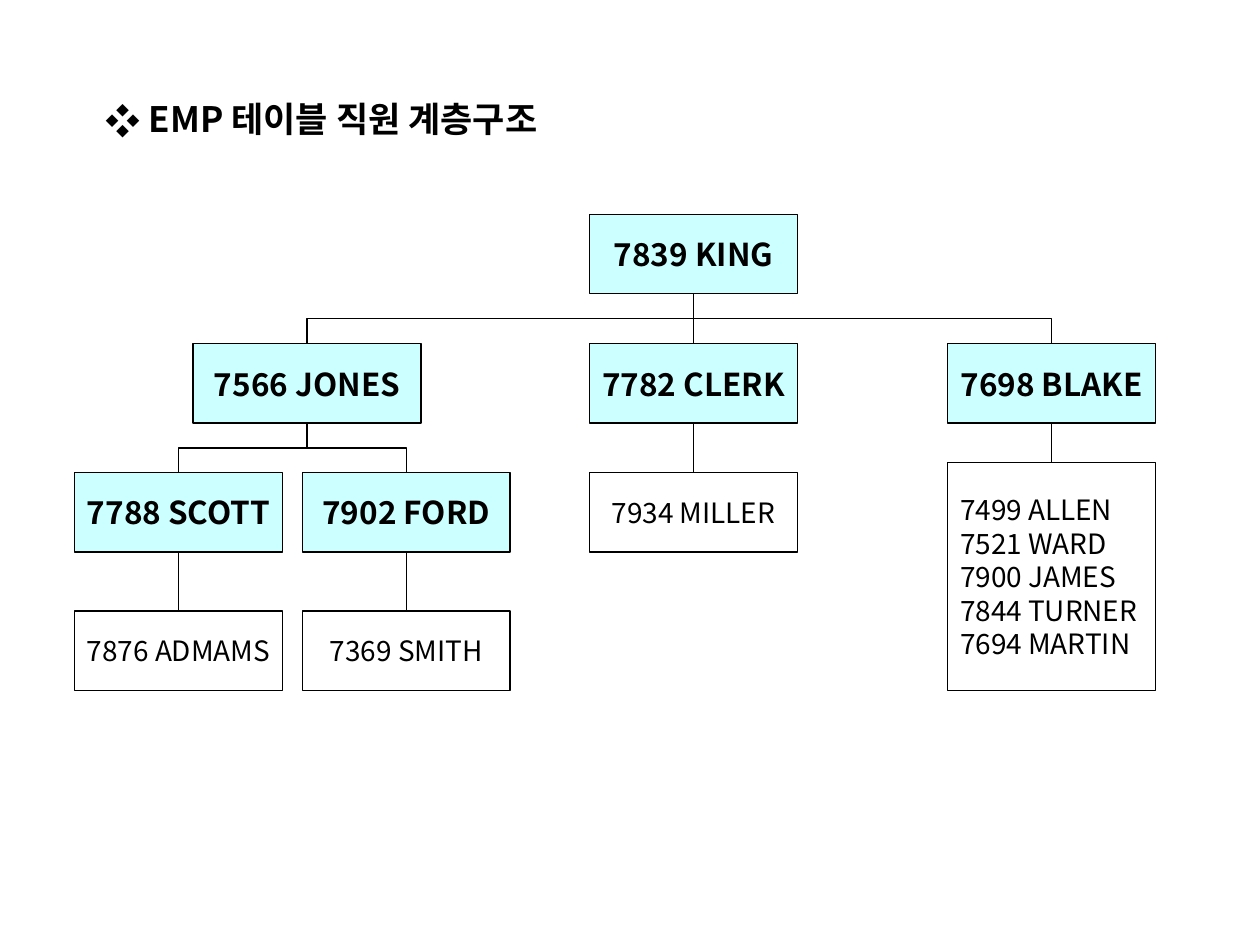
from dataclasses import dataclass

from lxml.etree import SubElement
from pptx import Presentation
from pptx.dml.color import RGBColor
from pptx.enum.shapes import MSO_CONNECTOR, MSO_SHAPE
from pptx.enum.text import MSO_ANCHOR, MSO_AUTO_SIZE, PP_ALIGN
from pptx.oxml.ns import qn
from pptx.util import Cm, Pt


@dataclass(frozen=True)
class Theme:
    font: str = "Noto Sans CJK KR"
    ink: RGBColor = RGBColor(0, 0, 0)
    manager_fill: RGBColor = RGBColor(0xCC, 0xFF, 0xFF)
    title_size: int = 20
    manager_size: int = 18
    staff_size: int = 16
    leading: float = 1.2
    line_width: float = 0.75


THEME = Theme()

# Grid in centimetres
BOX_WIDTH, BOX_HEIGHT = 4.19, 1.6
WIDE_BOX, TALL_BOX = 4.6, 4.6
ROWS = (4.32, 6.93, 9.53, 12.32)
TEAM_TOP = ROWS[3] + BOX_HEIGHT - TALL_BOX
SCOTT_X, JONES_X, FORD_X, KING_X, BLAKE_X = 3.6, 6.19, 8.19, 13.98, 21.2


def write_text(shape, text, size, bold=False, align=PP_ALIGN.CENTER,
               anchor=MSO_ANCHOR.MIDDLE):
    frame = shape.text_frame
    frame.word_wrap = False
    frame.vertical_anchor = anchor
    frame.text = text
    for paragraph in frame.paragraphs:
        paragraph.alignment = align
        paragraph.line_spacing = Pt(size * THEME.leading)
        for run in paragraph.runs:
            run.font.size = Pt(size)
            run.font.bold = bold
            run.font.color.rgb = THEME.ink
            run.font.name = THEME.font
            east_asian = SubElement(run.font._element, qn("a:ea"))
            east_asian.set("typeface", THEME.font)


def add_title(slide, text):
    box = slide.shapes.add_textbox(Cm(1.88), Cm(1.85), Cm(9.37), Cm(1.12))
    write_text(box, text, THEME.title_size, bold=True, align=PP_ALIGN.LEFT,
               anchor=MSO_ANCHOR.TOP)
    box.text_frame.auto_size = MSO_AUTO_SIZE.SHAPE_TO_FIT_TEXT
    # Diamond bullet
    properties = box.text_frame.paragraphs[0]._p.get_or_add_pPr()
    color = SubElement(properties, qn("a:buClr"))
    SubElement(color, qn("a:srgbClr")).set("val", str(THEME.ink))
    SubElement(properties, qn("a:buFont")).set("typeface", THEME.font)
    SubElement(properties, qn("a:buChar")).set("char", "❖")


def add_box(slide, text, center, top, width=BOX_WIDTH, height=BOX_HEIGHT,
            manager=False, align=PP_ALIGN.CENTER):
    shape = slide.shapes.add_shape(
        MSO_SHAPE.RECTANGLE, Cm(center - width / 2), Cm(top), Cm(width), Cm(height))
    shape.shadow.inherit = False
    if manager:
        shape.fill.solid()
        shape.fill.fore_color.rgb = THEME.manager_fill
    else:
        shape.fill.background()
    shape.line.color.rgb = THEME.ink
    shape.line.width = Pt(THEME.line_width)
    size = THEME.manager_size if manager else THEME.staff_size
    write_text(shape, text, size, bold=manager, align=align)
    return shape


def join(slide, boss, report, kind=MSO_CONNECTOR.STRAIGHT):
    connector = slide.shapes.add_connector(kind, 0, 0, 0, 0)
    connector.begin_connect(boss, 2)
    connector.end_connect(report, 0)
    connector.line.color.rgb = THEME.ink
    connector.line.width = Pt(THEME.line_width)
    SubElement(connector._element.spPr, qn("a:effectLst"))
    return connector


def join_bent(slide, boss, report):
    connector = join(slide, boss, report, MSO_CONNECTOR.ELBOW)
    start_x, start_y = connector.begin_x, connector.begin_y
    end_x, end_y = connector.end_x, connector.end_y
    # A quarter turn makes the elbow leave downwards
    span, drop = abs(end_x - start_x), end_y - start_y
    connector.left = (start_x + end_x - drop) // 2
    connector.top = (start_y + end_y - span) // 2
    connector.width, connector.height = drop, span
    to_right = end_x > start_x
    transform = connector._element.spPr.find(qn("a:xfrm"))
    transform.set("rot", str((270 if to_right else 90) * 60000))
    transform.set("flipH", "1" if to_right else "0")
    transform.set("flipV", "0")


def main():
    presentation = Presentation()
    presentation.slide_width, presentation.slide_height = Cm(25.4), Cm(19.05)
    slide = presentation.slides.add_slide(presentation.slide_layouts[6])

    # Managers
    king = add_box(slide, "7839 KING", KING_X, ROWS[0], manager=True)
    jones = add_box(slide, "7566 JONES", JONES_X, ROWS[1], width=WIDE_BOX, manager=True)
    clerk = add_box(slide, "7782 CLERK", KING_X, ROWS[1], manager=True)
    blake = add_box(slide, "7698 BLAKE", BLAKE_X, ROWS[1], manager=True)
    scott = add_box(slide, "7788 SCOTT", SCOTT_X, ROWS[2], manager=True)
    ford = add_box(slide, "7902 FORD", FORD_X, ROWS[2], manager=True)

    # Staff
    miller = add_box(slide, "7934 MILLER", KING_X, ROWS[2])
    team = add_box(
        slide, "7499 ALLEN\n7521 WARD\n7900 JAMES\n7844 TURNER\n7694 MARTIN",
        BLAKE_X, TEAM_TOP, height=TALL_BOX, align=PP_ALIGN.LEFT)
    adams = add_box(slide, "7876 ADMAMS", SCOTT_X, ROWS[3])
    smith = add_box(slide, "7369 SMITH", FORD_X, ROWS[3])

    # Reporting lines
    for boss, report in ((king, jones), (king, blake), (jones, scott), (jones, ford)):
        join_bent(slide, boss, report)
    for boss, report in ((king, clerk), (clerk, miller), (blake, team),
                         (scott, adams), (ford, smith)):
        join(slide, boss, report)

    add_title(slide, " EMP 테이블 직원 계층구조")
    presentation.save("out.pptx")


if __name__ == "__main__":
    main()
